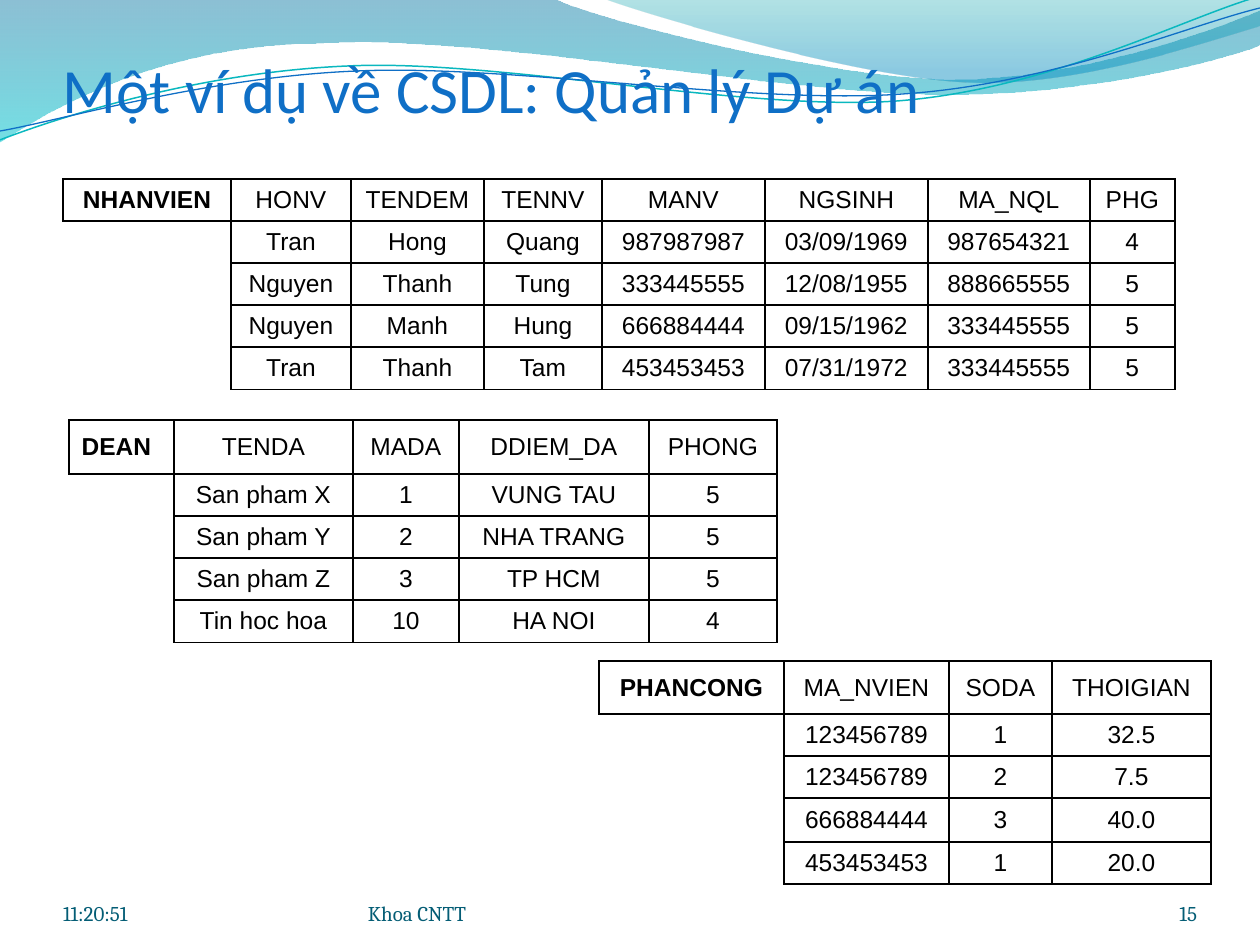
from math import cos, radians, sin

from lxml.etree import SubElement
from pptx import Presentation
from pptx.dml.color import RGBColor
from pptx.enum.text import MSO_ANCHOR, PP_ALIGN
from pptx.oxml.ns import qn
from pptx.util import Emu, Pt

BLACK = "000000"
BLUE = "0F6FC6"
FOOTER = "045D75"
TILT = 357.3


def px(length):
    return Emu(round(length * 914400 / 126))


def color(code):
    return RGBColor.from_string(code)


def turn(point, angle, center=(629, 72)):
    x, y = point[0] - center[0], point[1] - center[1]
    c, s = cos(radians(angle)), sin(radians(angle))
    return center[0] + x * c - y * s, center[1] + x * s + y * c


class Slide:
    def __init__(self, deck):
        self.page = deck.slides.add_slide(deck.slide_layouts[6])
        self.shapes = self.page.shapes

    def outline(self, start, segments, close, angle=0):
        points = [start] + [segment[i:i + 2] for segment in segments
                            for i in range(0, len(segment), 2)]
        first, *rest = [tuple(map(px, turn(point, -angle))) for point in points]
        builder = self.shapes.build_freeform(*first, scale=1.0)
        builder.add_line_segments(rest, close=close)
        shape = builder.convert_to_shape()
        shape.rotation = angle
        shape.shadow.inherit = False
        lines = iter(list(shape._element.iter(qn("a:lnTo"))))
        for segment in segments:
            group = [next(lines) for _ in range(len(segment) // 2)]
            if len(group) == 3:
                path = group[0].getparent()
                bend = SubElement(path, qn("a:cubicBezTo"))
                group[0].addprevious(bend)
                for line in group:
                    bend.append(line[0])
                    path.remove(line)
        return shape

    def wave(self, start, segments, stops):
        shape = self.outline(start, segments, True)
        shape.line.fill.background()
        shape.fill.gradient()
        shape.fill.gradient_angle = 270
        for stop, (position, code, _) in zip(shape.fill.gradient_stops, stops):
            stop.position = position / 100
            stop.color.rgb = color(code)
        for element, (_, _, opacity) in zip(shape._element.iter(qn("a:srgbClr")), stops):
            SubElement(element, qn("a:alpha"), val=str(opacity * 1000))

    def curve(self, start, segments, code, width):
        shape = self.outline(start, segments, False, TILT)
        shape.fill.background()
        shape.line.color.rgb = color(code)
        shape.line.width = Pt(width)

    def style(self, para, size, name, code, align, bold=False):
        para.alignment = align
        para.font.size = Pt(size)
        para.font.name = name
        para.font.bold = bold
        para.font.color.rgb = color(code)

    def text(self, words, left, top, width, height, size, name, code,
             align=PP_ALIGN.LEFT, inset=0):
        box = self.shapes.add_textbox(px(left), px(top), px(width), px(height))
        frame = box.text_frame
        frame.word_wrap = True
        frame.vertical_anchor = MSO_ANCHOR.BOTTOM
        frame.margin_left = frame.margin_right = frame.margin_bottom = 0
        frame.margin_top = px(inset)
        frame.text = words
        self.style(frame.paragraphs[0], size, name, code, align)

    def borders(self, cell, sides):
        properties = cell._tc.get_or_add_tcPr()
        for side in "LRTB":
            line = SubElement(properties, qn(f"a:ln{side}"), w="12700")
            if side in sides:
                fill = SubElement(line, qn("a:solidFill"))
                SubElement(fill, qn("a:srgbClr"), val=BLACK)
            else:
                SubElement(line, qn("a:noFill"))

    def relation(self, name, left, top, widths, heights, fields, records,
                 name_align=PP_ALIGN.CENTER):
        rows = [[name, *fields]] + [["", *record] for record in records]
        frame = self.shapes.add_table(len(rows), len(widths), px(left), px(top),
                                      px(sum(widths)), px(sum(heights)))
        table = frame.table
        table.first_row = table.horz_banding = False
        for column, width in zip(table.columns, widths):
            column.width = px(width)
        for row, height in zip(table.rows, heights):
            row.height = px(height)
        for r, values in enumerate(rows):
            for c, value in enumerate(values):
                cell = table.cell(r, c)
                is_name = r == c == 0
                sides = "LRTB" if value else "RT" if r == 1 else "R"
                self.borders(cell, sides)
                cell.fill.background()
                cell.vertical_anchor = MSO_ANCHOR.MIDDLE
                para = cell.text_frame.paragraphs[0]
                if value:
                    para.text = value
                else:
                    ending = SubElement(para._p, qn("a:endParaRPr"), sz="1400")
                    SubElement(ending, qn("a:latin"), typeface="Arial")
                align = name_align if is_name else PP_ALIGN.CENTER
                self.style(para, 14, "Arial", BLACK, align, is_name)


def main():
    deck = Presentation()
    deck.slide_width, deck.slide_height = px(1260), px(945)
    slide = Slide(deck)

    slide.wave((0, -1), [
        (554, -1), (600, 21, 837, 79, 955, 79), (1075, 79, 1207, 33, 1260, 11),
        (1261, 45), (1239, 55, 1096, 96, 940, 94), (784, 94, 481, 35, 324, 43),
        (163, 44, 58, 105, -1, 142), (0, -1),
    ], [(0, "0074A1", 45), (100, "00C6CF", 55)])
    slide.wave((604, -1), [
        (642, 14, 859, 78, 969, 82), (1077, 87, 1211, 40, 1260, 26), (1260, 0),
        (604, -1),
    ], [(0, "00A1A9", 30), (80, "008BBF", 45)])
    slide.curve((0, 140), [
        (60, 117, 199, 72, 349, 66), (497, 59, 747, 112, 898, 101),
        (1050, 89, 1182, 19, 1257, -3),
    ], "0AB8BF", 0.85)
    slide.curve((0, 131), [
        (59, 121, 207, 77, 357, 71), (508, 64, 752, 105, 903, 94),
        (1053, 84, 1186, 26, 1260, 8),
    ], BLUE, 0.75)

    slide.text("Một ví dụ về CSDL: Quản lý Dự án", 63, 42, 1134, 84, 36, "Calibri", BLUE,
               inset=6)
    slide.text("15", 1092, 876, 105, 50, 12, "Cambria", FOOTER, PP_ALIGN.RIGHT)

    slide.relation("PHANCONG", 599, 661, [185, 165, 103, 159], [53, 42, 40, 44, 40],
                   ["MA_NVIEN", "SODA", "THOIGIAN"], [
                       ["123456789", "1", "32.5"],
                       ["123456789", "2", "7.5"],
                       ["666884444", "3", "40.0"],
                       ["453453453", "1", "20.0"],
                   ])
    slide.relation("DEAN", 69, 420, [105, 179, 106, 190, 128], [54, 42, 40, 40, 40],
                   ["TENDA", "MADA", "DDIEM_DA", "PHONG"], [
                       ["San pham X", "1", "VUNG TAU", "5"],
                       ["San pham Y", "2", "NHA TRANG", "5"],
                       ["San pham Z", "3", "TP HCM", "5"],
                       ["Tin hoc hoa", "10", "HA NOI", "4"],
                   ], PP_ALIGN.JUSTIFY)
    slide.relation("NHANVIEN", 63, 179, [168, 120, 133, 118, 163, 163, 162, 85], [40] * 5,
                   ["HONV", "TENDEM", "TENNV", "MANV", "NGSINH", "MA_NQL", "PHG"], [
                       ["Tran", "Hong", "Quang", "987987987", "03/09/1969", "987654321", "4"],
                       ["Nguyen", "Thanh", "Tung", "333445555", "12/08/1955", "888665555", "5"],
                       ["Nguyen", "Manh", "Hung", "666884444", "09/15/1962", "333445555", "5"],
                       ["Tran", "Thanh", "Tam", "453453453", "07/31/1972", "333445555", "5"],
                   ])

    slide.text("Khoa CNTT", 368, 876, 462, 50, 12, "Cambria", FOOTER)
    slide.text("11:20:51", 63, 876, 294, 50, 12, "Cambria", FOOTER)

    deck.save("out.pptx")


if __name__ == "__main__":
    main()
